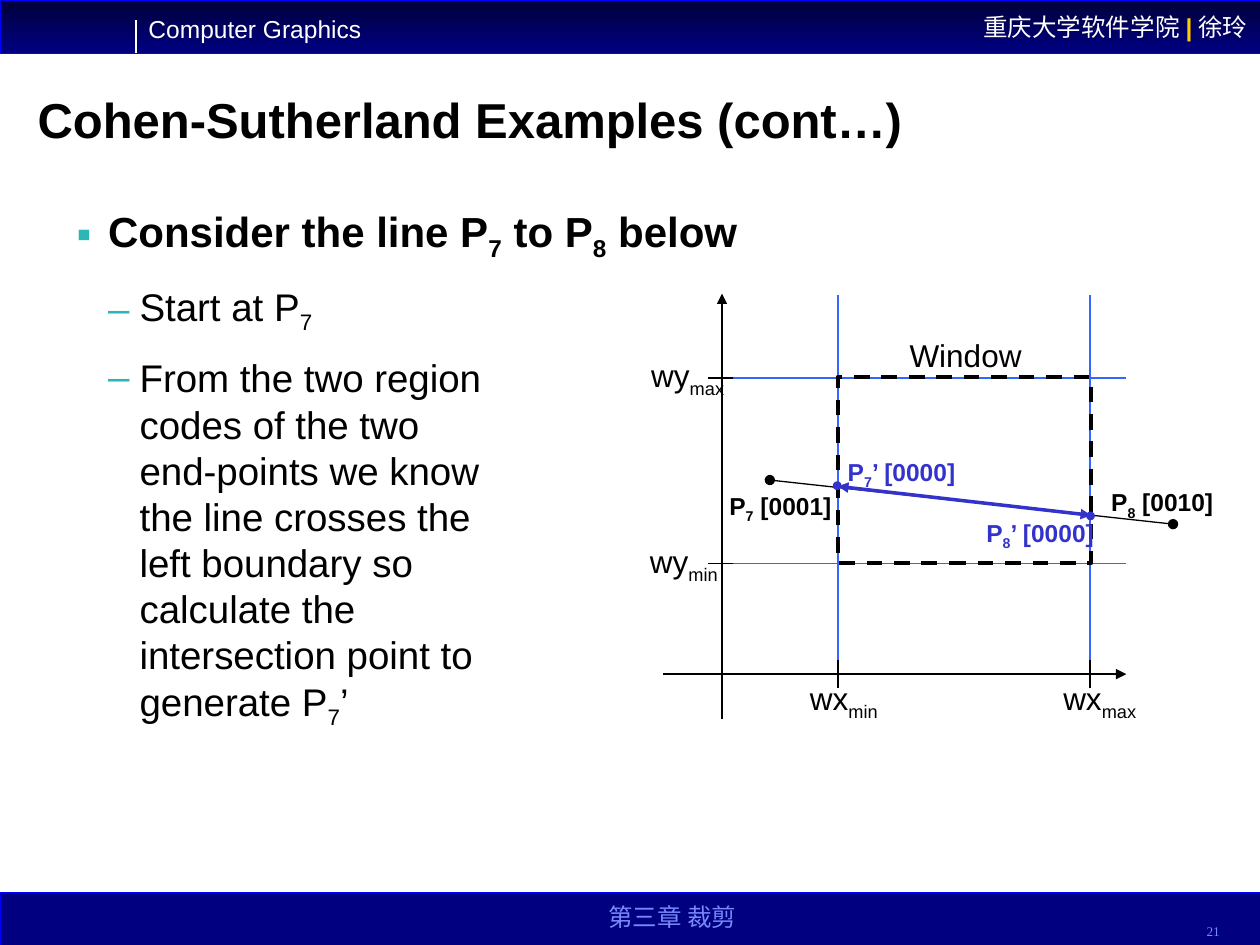
import pptx
import pptx.util
import pptx.dml.color
import pptx.enum.dml
import pptx.enum.shapes
import pptx.enum.text
import lxml.etree

Inches = pptx.util.Inches
Pt = pptx.util.Pt
color = pptx.dml.color.RGBColor.from_string
Shape = pptx.enum.shapes.MSO_SHAPE
Align = pptx.enum.text.PP_ALIGN
Anchor = pptx.enum.text.MSO_ANCHOR
A = "{http://schemas.openxmlformats.org/drawingml/2006/main}"
BLACK, WHITE, NAVY, GUIDE, CLIP, FOOTER = "000000", "FFFFFF", "000080", "3366FF", "3333CC", "7889FB"


def write(para, text, size, ink=BLACK, bold=False, face="Arial"):
    for index, part in enumerate(text.split("_")):
        for number, line in enumerate(part.split("\n")):
            if number:
                para.add_line_break()
            span = para.add_run()
            span.text = line
            if index % 2:
                span.font._element.set("baseline", "-25000")
    para.font.name = face
    para.font.size = Pt(size)
    para.font.bold = bold
    para.font.color.rgb = color(ink)


def draw_line(parent, x1, y1, x2, y2, ink=BLACK, width=0.75, head=None, tail=None):
    line = parent.shapes.add_connector(
        pptx.enum.shapes.MSO_CONNECTOR.STRAIGHT, Inches(x1), Inches(y1), Inches(x2), Inches(y2))
    line.line.color.rgb = color(ink)
    line.line.width = Pt(width)
    stroke = line.line._get_or_add_ln()
    for tag, end in (("headEnd", head), ("tailEnd", tail)):
        if end:
            lxml.etree.SubElement(stroke, A + tag, type=end)
    lxml.etree.SubElement(line._element.spPr, A + "effectLst")


deck = pptx.Presentation()
deck.slide_width, deck.slide_height = Inches(10), Inches(7.5)
page = deck.slides.add_slide(deck.slide_layouts[6])

bands = []
for top in (0, 7.08):
    band = page.shapes.add_shape(Shape.RECTANGLE, 0, Inches(top), Inches(10), Inches(0.42))
    band.shadow.inherit = False
    band.fill.solid()
    band.fill.fore_color.rgb = color(NAVY)
    band.line.color.rgb = color("0000FF")
    band.line.width = Pt(0.25)
    bands.append(band)

header = bands[0]
header.fill.gradient()
header.fill.gradient_angle = 270
for stop, shade in zip(header.fill.gradient_stops, ("00003B", NAVY)):
    stop.color.rgb = color(shade)
header.text_frame.vertical_anchor = Anchor.MIDDLE
para = header.text_frame.paragraphs[0]
para.alignment = Align.RIGHT
for text, ink, bold in (("重庆大学软件学院", WHITE, False), ("|", "FFCC00", True), ("徐玲", WHITE, False)):
    span = para.add_run()
    span.text = text
    span.font.color.rgb = color(ink)
    span.font.bold = bold
para.font.name = "Arial"
para.font.size = Pt(14)

draw_line(page, 1.08, 0.16, 1.08, 0.42, WHITE)

for left, top, width, height, text, size, ink, bold, face, align, anchor, inset, spacing in (
    (1.08, 0.06, 1.89, 0.34, "Computer Graphics", 14, WHITE, False, "Arial", Align.LEFT, Anchor.TOP, 0.1, 1.0),
    (3.75, 7.06, 3.17, 0.38, "第三章 裁剪", 14, FOOTER, False, "Times New Roman", Align.CENTER, Anchor.BOTTOM, 0.1, 1.0),
    (8.78, 7.12, 1, 0.38, "21", 7.6, FOOTER, False, "Times New Roman", Align.RIGHT, Anchor.BOTTOM, 0.1, 0.8),
    (0.2, 0.68, 9.02, 0.55, "Cohen-Sutherland Examples (cont…)", 28, BLACK, True, "Arial", Align.LEFT, Anchor.BOTTOM, 0.1, 0.9),
):
    box = page.shapes.add_textbox(Inches(left), Inches(top), Inches(width), Inches(height))
    frame = box.text_frame
    frame.word_wrap = True
    frame.vertical_anchor = anchor
    frame.margin_left = frame.margin_right = Inches(inset)
    para = frame.paragraphs[0]
    para.alignment = align
    para.line_spacing = spacing
    write(para, text, size, ink, bold, face)

body = page.shapes.add_textbox(Inches(0.51), Inches(1.54), Inches(8.5), Inches(4.27))
frame = body.text_frame
frame.word_wrap = True
frame.margin_top = Inches(0.09)
steps = (
    "From the two region \ncodes of the two \nend-points we know \nthe line crosses the \n"
    "left boundary so \ncalculate the \nintersection point to \ngenerate P_7_’"
)
for index, (text, level, bullet, size, before, after) in enumerate((
    ("Consider the line P_7_ to P_8_ below", 0, "▪", 24, 0, 4.5),
    ("Start at P_7_", 1, "–", 22, 6.9, 4.1),
    (steps, 1, "–", 22, 6.9, 4.1),
)):
    para = frame.add_paragraph() if index else frame.paragraphs[0]
    para.level = level
    para.space_before = Pt(before)
    para.space_after = Pt(after)
    props = para._p.get_or_add_pPr()
    props.set("marL", str(Inches(0.25 * (level + 1))))
    props.set("indent", str(Inches(-0.25)))
    tint = lxml.etree.SubElement(props, A + "buClr")
    lxml.etree.SubElement(tint, A + "srgbClr", val="2DB6B3")
    lxml.etree.SubElement(props, A + "buFont", typeface="Arial")
    lxml.etree.SubElement(props, A + "buChar", char=bullet)
    write(para, text, size, bold=level == 0)

diagram = page.shapes.add_group_shape()
x_min, x_max, y_max, y_min = 6.65, 8.65, 3.0, 4.47
for x in (x_min, x_max):
    draw_line(diagram, x, 2.34, x, 5.28, GUIDE)
    draw_line(diagram, x, 5.24, x, 5.46)
for y in (y_max, y_min):
    draw_line(diagram, 8.94, y, 5.82, y, GUIDE)
    draw_line(diagram, 5.82, y, 5.62, y)
draw_line(diagram, 5.26, 5.35, 8.94, 5.35, tail="triangle")
draw_line(diagram, 5.73, 5.71, 5.73, 2.33, tail="triangle")

window = diagram.shapes.add_shape(
    Shape.RECTANGLE, Inches(x_min), Inches(2.99), Inches(2.01), Inches(1.48))
window.shadow.inherit = False
window.fill.background()
window.line.color.rgb = color(BLACK)
window.line.width = Pt(2.25)
window.line.dash_style = pptx.enum.dml.MSO_LINE.DASH

draw_line(diagram, 6.11, 3.81, 9.31, 4.16, head="oval", tail="oval")
for left, top in ((6.61, 3.82), (8.62, 4.06)):
    dot = diagram.shapes.add_shape(Shape.OVAL, Inches(left), Inches(top), Inches(0.07), Inches(0.07))
    dot.shadow.inherit = False
    dot.fill.solid()
    dot.fill.fore_color.rgb = color(CLIP)
    dot.line.fill.background()
draw_line(diagram, 6.65, 3.86, 8.66, 4.09, CLIP, 2, "triangle", "triangle")

for left, top, width, height, text, size, ink in (
    (5.07, 2.78, 0.78, 0.44, "wy_max_", 18, BLACK),
    (5.06, 4.25, 0.74, 0.44, "wy_min_", 18, BLACK),
    (6.33, 5.34, 0.74, 0.44, "wx_min_", 18, BLACK),
    (8.34, 5.34, 0.78, 0.44, "wx_max_", 18, BLACK),
    (7.12, 2.62, 1.09, 0.4, "Window", 18, BLACK),
    (6.63, 3.58, 1.06, 0.37, "P_7_’ [0000]", 14, CLIP),
    (5.69, 3.85, 1.01, 0.37, "P_7_ [0001]", 14, BLACK),
    (8.72, 3.82, 1.01, 0.37, "P_8_ [0010]", 14, BLACK),
    (7.73, 4.06, 1.06, 0.37, "P_8_’ [0000]", 14, CLIP),
):
    label = diagram.shapes.add_textbox(Inches(left), Inches(top), Inches(width), Inches(height))
    label.text_frame.word_wrap = False
    write(label.text_frame.paragraphs[0], text, size, ink, bold=size == 14)

deck.save("out.pptx")
